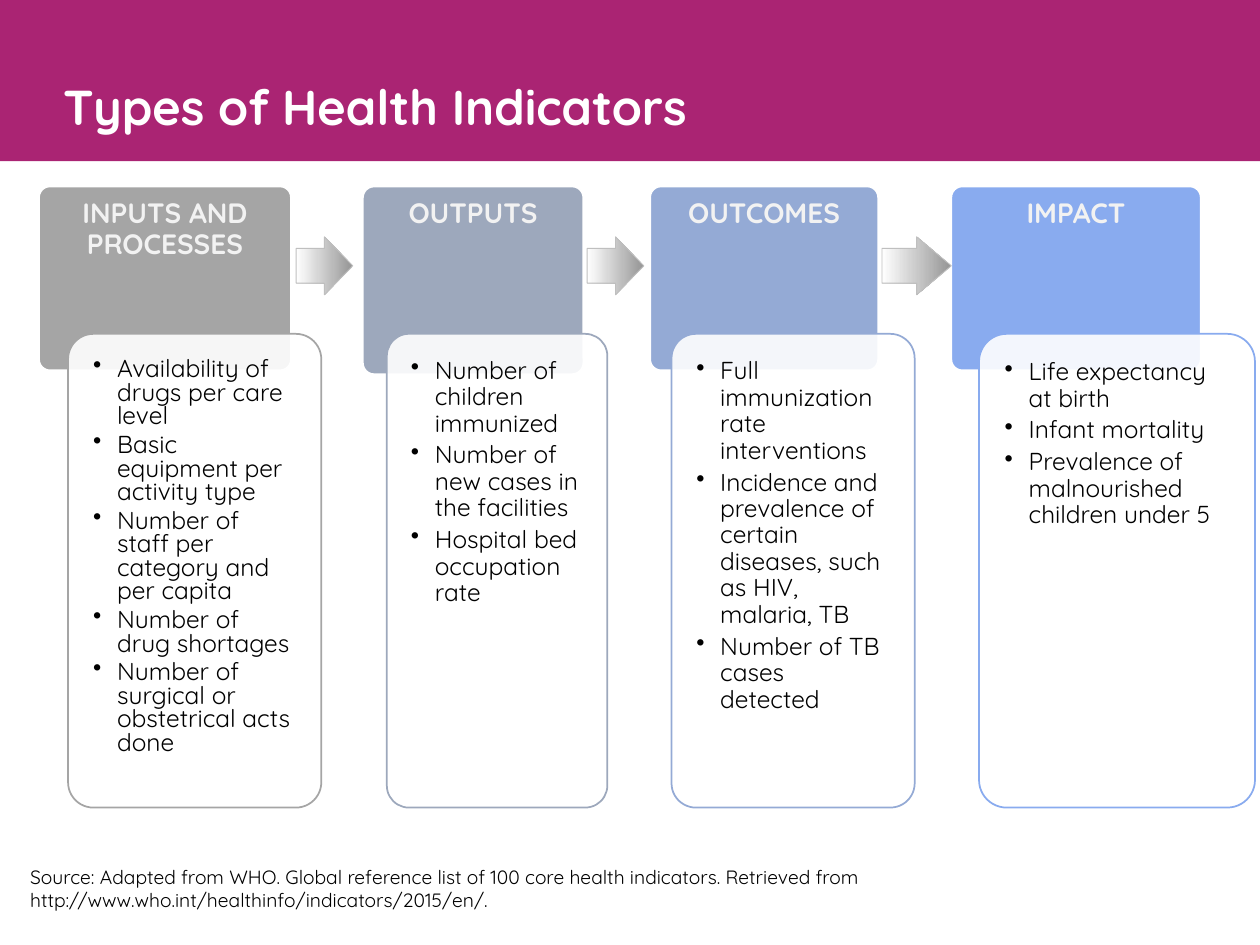
from dataclasses import dataclass

from lxml import etree
from pptx import Presentation
from pptx import util as u
from pptx.dml.color import RGBColor
from pptx.enum import shapes, text
from pptx.oxml import ns

FONT = "Quicksand"
MAGENTA = RGBColor(0xAA, 0x24, 0x73)
WHITE = RGBColor(0xFF, 0xFF, 0xFF)
BLACK = RGBColor(0, 0, 0)
PALE = RGBColor(0xF2, 0xF2, 0xF2)
ARROW_DARK = RGBColor(0x95, 0x95, 0x95)
ARROW_EDGE = RGBColor(0xBF, 0xBF, 0xBF)

HEADER_TOP = 1.48
PANEL_TOP, PANEL_HEIGHT = 2.65, 3.76
ARROW_TOP, ARROW_HEIGHT = 1.88, 0.46


@dataclass
class Stage:
    """One column: its heading, colour, header and panel extents, and indicators."""
    heading: str
    color: RGBColor
    header: tuple
    panel: tuple
    indicators: list
    header_height: float = 1.46
    spacing: float = 0.9


STAGES = [
    Stage("INPUTS AND PROCESSES", RGBColor(0xA5, 0xA5, 0xA5), (0.31, 2), (0.54, 2.01),
          ["Availability of drugs per care level",
           "Basic equipment per activity type",
           "Number of staff per category and per capita",
           "Number of drug shortages",
           "Number of surgical or obstetrical acts done"], spacing=0.8),
    Stage("OUTPUTS", RGBColor(0x9D, 0xA8, 0xBC), (2.88, 1.75), (3.07, 1.75),
          ["Number of children immunized",
           "Number of new cases in the facilities",
           "Hospital bed occupation rate"], header_height=1.49),
    Stage("OUTCOMES", RGBColor(0x94, 0xAA, 0xD5), (5.16, 1.81), (5.33, 1.93),
          ["Full immunization rate interventions",
           "Incidence and prevalence of certain diseases, such as HIV, malaria, TB",
           "Number of TB cases detected"]),
    Stage("IMPACT", RGBColor(0x89, 0xAB, 0xEF), (7.55, 1.98), (7.77, 2.19),
          ["Life expectancy at birth",
           "Infant mortality",
           "Prevalence of malnourished children under 5"]),
]
ARROWS = [(2.35, 0.45), (4.66, 0.45), (7, 0.55)]


def add_block(slide, kind, box, fill, line=None, width=1):
    """Add a flat preset shape; a fill of None is left for the caller."""
    block = slide.shapes.add_shape(kind, *map(u.Inches, box))
    block.shadow.inherit = False
    if fill is not None:
        block.fill.solid()
        block.fill.fore_color.rgb = fill
    if line is None:
        block.line.fill.background()
    else:
        block.line.color.rgb = line
        block.line.width = u.Pt(width)
    return block


def set_margins(frame, side, top, bottom):
    """Set wrapping and the inner margins in inches."""
    frame.word_wrap = True
    frame.margin_left = frame.margin_right = u.Inches(side)
    frame.margin_top, frame.margin_bottom = u.Inches(top), u.Inches(bottom)


def style(paragraph, size, color, bold=False, align=text.PP_ALIGN.LEFT, spacing=None):
    """Format a paragraph and all its runs."""
    paragraph.alignment = align
    paragraph.line_spacing = spacing
    for run in paragraph.runs:
        run.font.name, run.font.size, run.font.bold = FONT, u.Pt(size), bold
        run.font.color.rgb = color


def add_bullet(paragraph):
    """Give a paragraph a hanging round bullet."""
    properties = paragraph._p.get_or_add_pPr()
    indent = u.Inches(0.19)
    properties.set("marL", str(indent))
    properties.set("indent", str(-indent))
    etree.SubElement(properties, ns.qn("a:buChar")).set("char", "•")


def add_title(slide):
    """Draw the title band behind the title placeholder."""
    band = add_block(slide, shapes.MSO_SHAPE.RECTANGLE, (-0.14, -0.17, 10.27, 1.45), MAGENTA)
    title = slide.shapes.title
    title.element.addprevious(band.element)
    title.left, title.top, title.width, title.height = map(u.Inches, (0.4, 0.57, 8.52, 0.6))
    title.text_frame.text = "Types of Health Indicators"
    title.text_frame.vertical_anchor = text.MSO_ANCHOR.MIDDLE
    style(title.text_frame.paragraphs[0], 28, WHITE, bold=True, spacing=0.9)


def add_header(slide, stage):
    """Add the coloured heading block of a stage."""
    left, width = stage.header
    header = add_block(slide, shapes.MSO_SHAPE.ROUNDED_RECTANGLE,
                       (left, HEADER_TOP, width, stage.header_height), stage.color, WHITE)
    header.adjustments[0] = 0.06
    frame = header.text_frame
    frame.text = stage.heading
    frame.vertical_anchor = text.MSO_ANCHOR.TOP
    set_margins(frame, 0.08, 0.08, 0.21)
    style(frame.paragraphs[0], 16, PALE, True, text.PP_ALIGN.CENTER, 0.9)


def add_panel(slide, stage):
    """Add the translucent panel listing a stage's indicators."""
    left, width = stage.panel
    panel = add_block(slide, shapes.MSO_SHAPE.ROUNDED_RECTANGLE,
                      (left, PANEL_TOP, width, PANEL_HEIGHT), WHITE, stage.color)
    panel.adjustments[0] = 0.1
    solid = panel.element.spPr.find(ns.qn("a:solidFill"))
    etree.SubElement(solid[0], ns.qn("a:alpha")).set("val", "90000")
    frame = panel.text_frame
    frame.text = "\n".join(stage.indicators)
    frame.vertical_anchor = text.MSO_ANCHOR.TOP
    set_margins(frame, 0.14, 0.14, 0.14)
    for paragraph in frame.paragraphs:
        add_bullet(paragraph)
        style(paragraph, 14, BLACK, spacing=stage.spacing)
        paragraph.space_after = u.Pt(3)


def add_arrow(slide, left, width):
    """Add a gradient arrow leading to the next stage."""
    arrow = add_block(slide, shapes.MSO_SHAPE.RIGHT_ARROW,
                      (left, ARROW_TOP, width, ARROW_HEIGHT), None, ARROW_EDGE, 0.5)
    arrow.adjustments[0] = 0.6
    arrow.adjustments[1] = width / 2 / min(width, ARROW_HEIGHT)
    arrow.fill.gradient()
    arrow.fill.gradient_angle = 180
    for stop, color in zip(arrow.fill.gradient_stops, (ARROW_DARK, WHITE)):
        stop.color.rgb = color


def add_source(slide):
    """Add the source line at the foot of the slide."""
    source = slide.shapes.add_textbox(*map(u.Inches, (0.14, 6.82, 9.79, 0.47)))
    frame = source.text_frame
    frame.word_wrap = True
    frame.text = ("Source: Adapted from WHO. Global reference list of 100 core health indicators. "
                  "Retrieved from http://www.who.int/healthinfo/indicators/2015/en/.")
    style(frame.paragraphs[0], 11, BLACK)


def main():
    """Build and save the slide."""
    deck = Presentation()
    deck.slide_width, deck.slide_height = u.Inches(10), u.Inches(7.5)
    slide = deck.slides.add_slide(deck.slide_layouts[5])
    add_title(slide)
    for stage in STAGES:
        add_header(slide, stage)
        add_panel(slide, stage)
    for left, width in ARROWS:
        add_arrow(slide, left, width)
    add_source(slide)
    deck.save("out.pptx")


if __name__ == "__main__":
    main()
